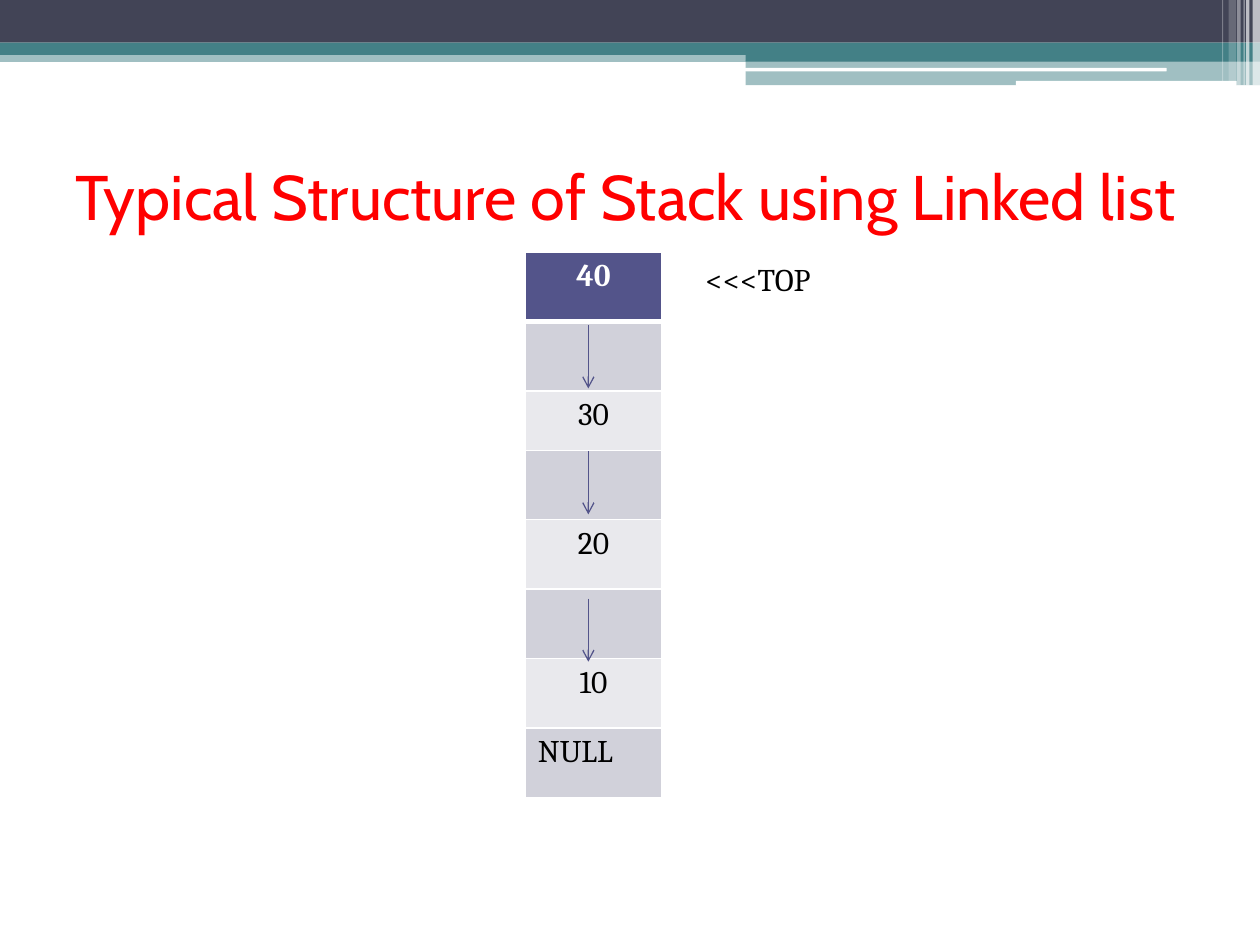
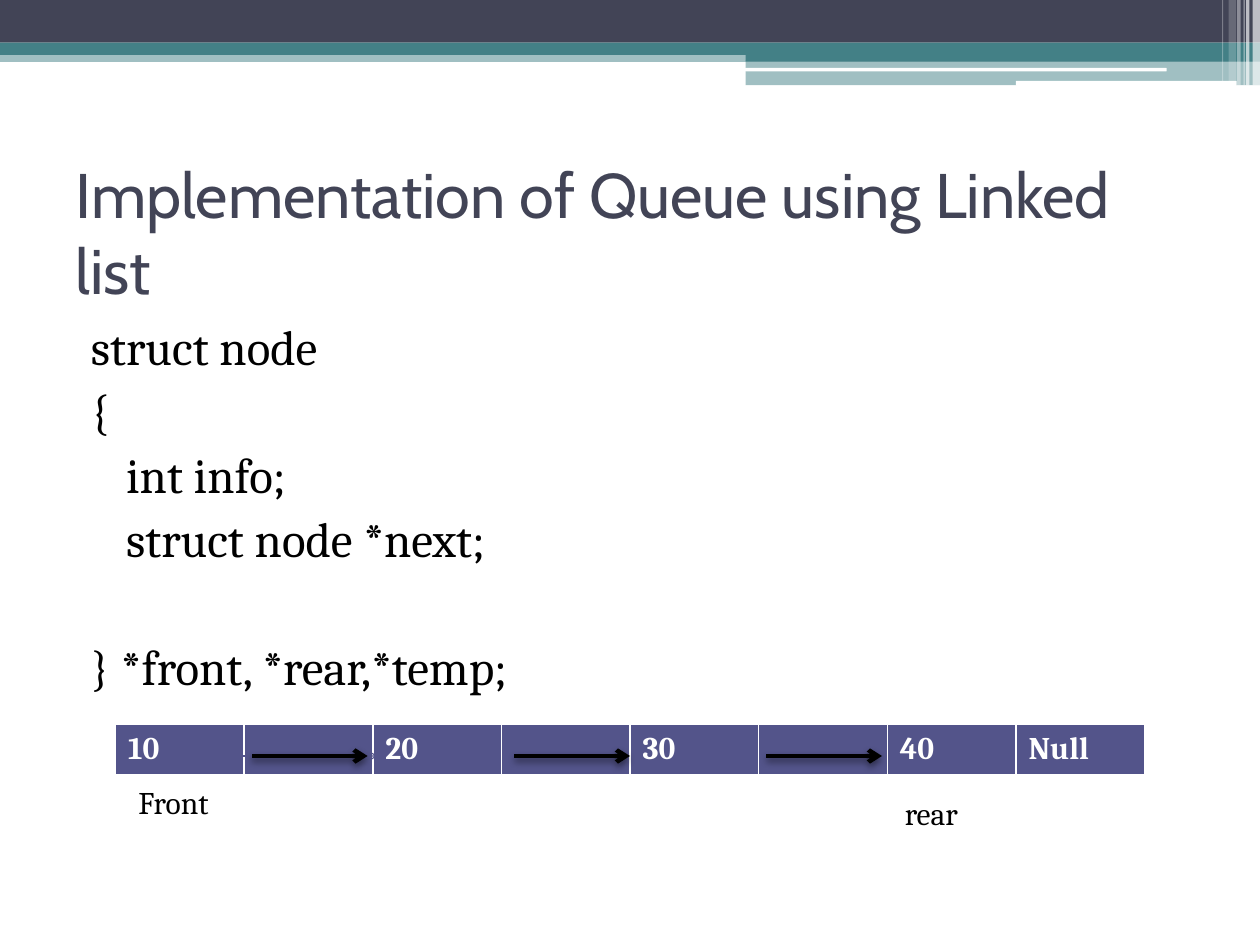
from typing import NamedTuple

from lxml.etree import SubElement
from pptx import Presentation
from pptx.dml.color import RGBColor
from pptx.enum.shapes import MSO_CONNECTOR as Connector, MSO_SHAPE as Shape
from pptx.enum.text import MSO_ANCHOR as Anchor, MSO_AUTO_SIZE as AutoSize, PP_ALIGN as Align
from pptx.oxml.ns import qn
from pptx.util import Cm, Pt

COLOURS = {
    "slate": "424456", "teal": "438086", "indigo": "53548A", "red": "FF0000",
    "white": "FFFFFF", "black": "000000", "grey": "D1D1DA", "pale": "E9E9ED",
}
TITLE_FONT, TEXT_FONT = "Cabin", "Cambria"
TITLE_ONLY, TITLE_AND_BODY = 5, 1


class Box(NamedTuple):
    """A region of the page, in centimetres."""
    left: float
    top: float
    width: float
    height: float

    def lengths(self):
        return [Cm(value) for value in self]


PAGE = Box(0, 0, 25.4, 19.05)
TITLE = Box(1.27, 3.18, 22.86, 2.97)
BODY = Box(1.27, 6.25, 22.86, 12.01)
STACK = Box(10.59, 5.08, 2.75, 11)
QUEUE = Box(2.33, 14.61, 20.75, 1.04)

# left, top, width, height, colour, opacity in percent
BAND_STRIPS = [
    (0, 1.02, 25.4, 0.23, "teal", 50),
    (0, 0, 25.4, 0.86, "slate", 100),
    (0, 0.86, 25.4, 0.25, "teal", 100),
    (15.03, 0.99, 10.37, 0.25, "teal", 100),
    (15.03, 1.22, 10.37, 0.5, "teal", 50),
]
BAND_RULES = [
    (15.02, 1.37, 8.5, 0.07, "white", 100),
    (20.48, 1.63, 4.45, 0.1, "white", 100),
]
BAND_STRIPES = [
    (25.25, 0, 0.15, 1.73, "white", 65),
    (25.12, 0, 0.07, 1.73, "white", 65),
    (25.07, 0, 0.02, 1.73, "white", 60),
    (24.94, 0, 0.07, 1.73, "white", 40),
    (24.77, 0, 0.15, 1.63, "white", 20),
    (24.64, 0, 0.02, 1.63, "white", 30),
]


def rgb(colour):
    return RGBColor.from_string(COLOURS[colour])


def add_text(para, text, size, colour, font=TEXT_FONT, bold=False):
    span = para.add_run()
    span.text = text
    span.font.size = Pt(size)
    span.font.name = font
    span.font.bold = bold
    span.font.color.rgb = rgb(colour)


def add_band(page, box):
    groups = [(Shape.RECTANGLE, BAND_STRIPS), (Shape.ROUNDED_RECTANGLE, BAND_RULES),
              (Shape.RECTANGLE, BAND_STRIPES)]
    for kind, parts in groups:
        for left, top, width, height, colour, opacity in parts:
            place = Box(box.left + left, box.top + top, width, height)
            bar = page.shapes.add_shape(kind, *place.lengths())
            bar.shadow.inherit = False
            bar.line.fill.background()
            bar.fill.solid()
            bar.fill.fore_color.rgb = rgb(colour)
            if opacity < 100:
                tint = bar._element.spPr.find(qn("a:solidFill"))[0]
                SubElement(tint, qn("a:alpha"), val=str(opacity * 1000))


def place_holder(holder, box):
    holder.left, holder.top, holder.width, holder.height = box.lengths()
    frame = holder.text_frame
    frame.word_wrap = True
    frame.auto_size = AutoSize.NONE
    return frame


def add_page(deck, layout, title, colour, anchor):
    page = deck.slides.add_slide(deck.slide_layouts[layout])
    add_band(page, PAGE)
    frame = place_holder(page.shapes.title, TITLE)
    frame.margin_top = frame.margin_bottom = 0
    frame.vertical_anchor = anchor
    para = frame.paragraphs[0]
    para.alignment = Align.LEFT
    add_text(para, title, 36, colour, TITLE_FONT)
    return page


def add_label(page, box, text):
    frame = page.shapes.add_textbox(*box.lengths()).text_frame
    frame.word_wrap = True
    add_text(frame.paragraphs[0], text, 18, "black")


def add_arrow(page, start, end, colour, weight, shadow=False):
    arrow = page.shapes.add_connector(
        Connector.STRAIGHT, *[Cm(value) for value in (*start, *end)])
    arrow.line.color.rgb = rgb(colour)
    arrow.line.width = Pt(weight)
    SubElement(arrow.line._get_or_add_ln(), qn("a:tailEnd"), type="arrow")
    effects = SubElement(arrow._element.spPr, qn("a:effectLst"))
    if shadow:
        outer = SubElement(effects, qn("a:outerShdw"), blurRad=str(Pt(4)), dist=str(Pt(2)),
                           dir="5400000", rotWithShape="0")
        tint = SubElement(outer, qn("a:srgbClr"), val=COLOURS["black"])
        SubElement(tint, qn("a:alpha"), val="45000")


def add_grid(page, box, rows, columns):
    grid = page.shapes.add_table(rows, columns, *box.lengths()).table
    grid.first_row = grid.horz_banding = False
    return grid


def fill_cell(cell, text, fill, colour, bold, align=Align.LEFT, top=1, bottom=1):
    """Write and colour a cell; top and bottom are border widths in points."""
    cell.fill.solid()
    cell.fill.fore_color.rgb = rgb(fill)
    borders = {"lnL": 1, "lnR": 1, "lnT": top, "lnB": bottom}
    properties = cell._tc.get_or_add_tcPr()
    for position, (side, width) in enumerate(borders.items()):
        line = SubElement(properties, qn(f"a:{side}"), w=str(Pt(width)))
        paint = SubElement(line, qn("a:solidFill"))
        SubElement(paint, qn("a:srgbClr"), val=COLOURS["white"])
        properties.insert(position, line)
    if text:
        para = cell.text_frame.paragraphs[0]
        para.alignment = align
        add_text(para, text, 18, colour, bold=bold)


def add_stack(page, box):
    values = ["40", "", "30", "", "20", "", "10", "NULL"]
    grid = add_grid(page, box, len(values), 1)
    short_row, row_height = 1.2, 1.4
    for index, value in enumerate(values):
        grid.rows[index].height = Cm(short_row if index == 2 else row_height)
        head = index == 0
        fill = "indigo" if head else "grey" if index % 2 else "pale"
        fill_cell(grid.cell(index, 0), value, fill, "white" if head else "black", head,
                  Align.CENTER if value.isdigit() else Align.LEFT,
                  top=3 if index == 1 else 1, bottom=3 if head else 1)
    middle = box.left + 1.27
    for offset in (1.48, 4.02, 6.99):
        start = box.top + offset
        add_arrow(page, (middle, start), (middle, start + 1.27), "indigo", 0.75)
    add_label(page, Box(box.left + 3.38, box.top + 0.03, 5.5, 1.02), "<<<TOP")


def add_node_code(page, box):
    """Write the struct as a list: text, indented or not, space before in points."""
    lines = [("struct node", False, 3), ("{", False, 3), ("int info;", True, 3),
             ("struct node *next;", True, 3), ("} *front, *rear,*temp;", False, 39.5)]
    frame = place_holder(page.placeholders[1], box)
    for index, (text, indented, space) in enumerate(lines):
        para = frame.add_paragraph() if index else frame.paragraphs[0]
        para.space_before = Pt(space)
        properties = para._p.get_or_add_pPr()
        properties.set("marL", str(Cm(1.02)))
        properties.set("indent", str(0 if indented else -Cm(0.71)))
        SubElement(properties, qn("a:buNone"))
        add_text(para, text, 28, "black")


def add_queue(page, box):
    values = ["10", "", "20", "", "30", "", "40", "Null"]
    grid = add_grid(page, box, 1, len(values))
    for index, value in enumerate(values):
        fill_cell(grid.cell(0, index), value, "indigo", "white", True, bottom=3)
    level = box.top + 0.63
    add_arrow(page, (box.left + 2.55, level), (box.left + 5.29, level), "indigo", 0.75)
    for offset in (2.75, 8.04, 13.12):
        start = box.left + offset
        add_arrow(page, (start, level), (start + 2.33, level), "black", 2.5, shadow=True)
    add_label(page, Box(box.left + 0.21, box.top + 1.06, 2.33, 1.07), "Front")
    add_label(page, Box(box.left + 15.66, box.top + 1.27, 2.75, 1.02), "rear")


def add_stack_page(deck):
    page = add_page(deck, TITLE_ONLY, "Typical Structure of Stack using Linked list",
                    "red", Anchor.TOP)
    add_stack(page, STACK)


def add_queue_page(deck):
    page = add_page(deck, TITLE_AND_BODY, "Implementation of Queue using Linked list",
                    "slate", Anchor.MIDDLE)
    add_node_code(page, BODY)
    add_queue(page, QUEUE)


def main():
    deck = Presentation()
    deck.slide_width, deck.slide_height = Cm(PAGE.width), Cm(PAGE.height)
    add_stack_page(deck)
    add_queue_page(deck)
    deck.save("out.pptx")


if __name__ == "__main__":
    main()
